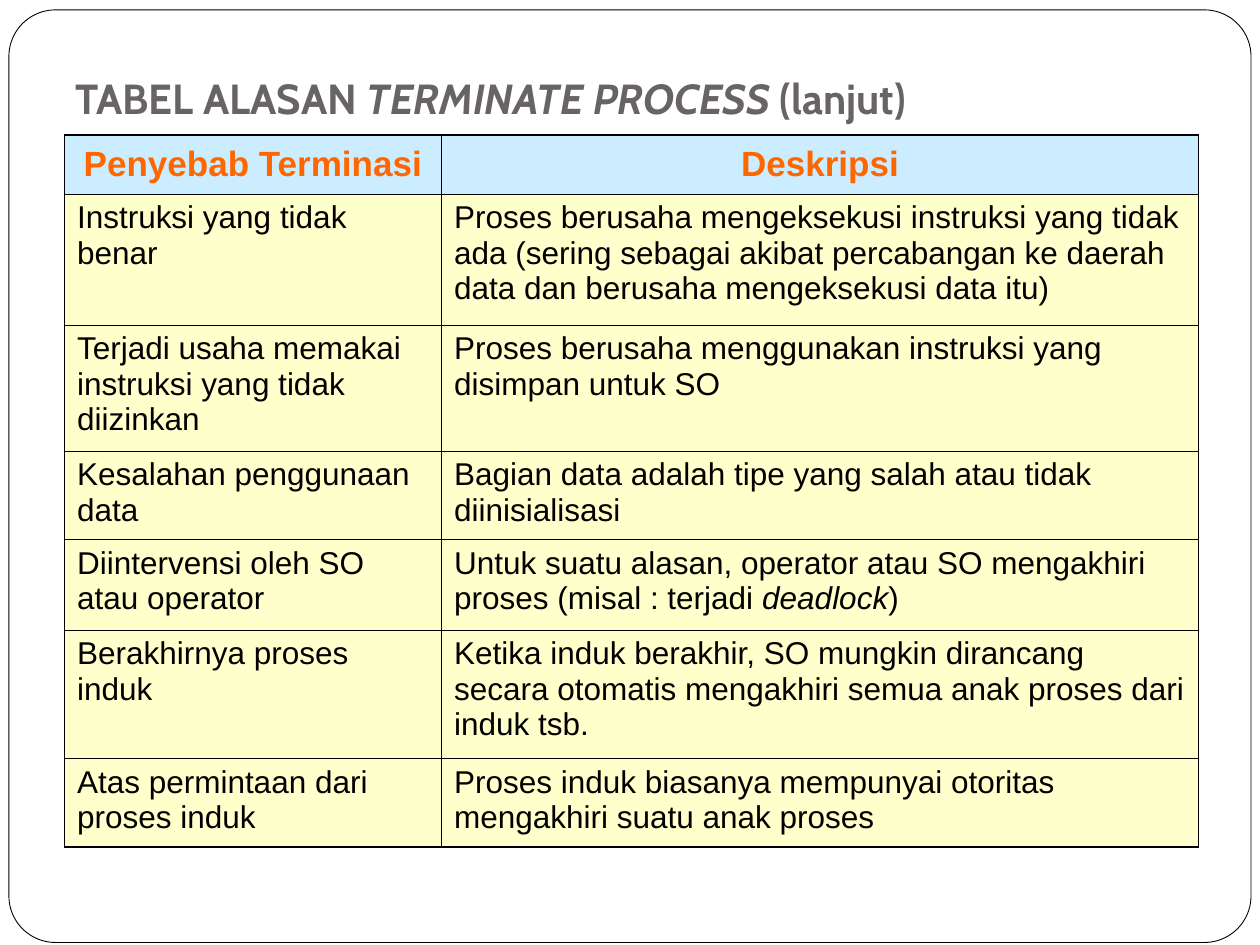
from lxml import etree
from pptx import Presentation
from pptx import util as u
from pptx.dml.color import RGBColor
from pptx.enum import shapes, text
from pptx.oxml.ns import qn

BLACK = RGBColor(0x00, 0x00, 0x00)
WHITE = RGBColor(0xFF, 0xFF, 0xFF)
GRAY = RGBColor(0x69, 0x64, 0x64)
ORANGE = RGBColor(0xFF, 0x66, 0x00)
SKY = RGBColor(0xCC, 0xEC, 0xFF)
CREAM = RGBColor(0xFF, 0xFF, 0xCC)

TITLE = "TABEL ALASAN *TERMINATE PROCESS* (lanjut)"
COLUMNS = (7.6, 15.26)
HEIGHTS = (1.19, 2.64, 2.54, 1.78, 1.83, 2.59, 1.78)
ROWS = (
    ("Penyebab Terminasi", "Deskripsi"),
    ("Instruksi yang tidak benar",
     "Proses berusaha mengeksekusi instruksi yang tidak ada (sering sebagai "
     "akibat percabangan ke daerah data dan berusaha mengeksekusi data itu)"),
    ("Terjadi usaha memakai instruksi yang tidak diizinkan",
     "Proses berusaha menggunakan instruksi yang disimpan untuk SO"),
    ("Kesalahan penggunaan data",
     "Bagian data adalah tipe yang salah atau tidak diinisialisasi"),
    ("Diintervensi oleh SO atau operator",
     "Untuk suatu alasan, operator atau SO mengakhiri proses "
     "(misal : terjadi *deadlock*)"),
    ("Berakhirnya proses induk",
     "Ketika induk berakhir, SO mungkin dirancang secara otomatis mengakhiri "
     "semua anak proses dari induk tsb."),
    ("Atas permintaan dari proses induk",
     "Proses induk biasanya mempunyai otoritas mengakhiri suatu anak proses"),
)


class Deck:
    styles = {
        "title": {"name": "Cabin", "size": u.Pt(24), "bold": True, "color": GRAY},
        "head": {"name": "Arial", "size": u.Pt(20), "bold": True, "color": ORANGE},
        "body": {"name": "Arial", "size": u.Pt(18), "bold": False, "color": BLACK},
    }
    thick, thin = u.Pt(1.08), u.Pt(0.45)

    def __init__(self, prs):
        self.s = prs.slides.add_slide(prs.slide_layouts[6])

    def add_text(self, tf, content, style):
        p = tf.paragraphs[0]
        for i, part in enumerate(content.split("*")):
            r = p.add_run()
            r.text = part
            r.font.italic = i % 2 == 1
            for key, value in self.styles[style].items():
                if key == "color":
                    r.font.color.rgb = value
                else:
                    setattr(r.font, key, value)
        return p

    def frame(self, *box):
        sp = self.s.shapes.add_shape(
            shapes.MSO_SHAPE.ROUNDED_RECTANGLE, *map(u.Cm, box))
        sp.adjustments[0] = 0.05
        sp.shadow.inherit = False
        sp.fill.solid()
        sp.fill.fore_color.rgb = WHITE
        sp.line.color.rgb = BLACK
        sp.line.width = u.Pt(0.5)

    def title(self, content, *box):
        tf = self.s.shapes.add_textbox(*map(u.Cm, box)).text_frame
        layout = {"word_wrap": True, "vertical_anchor": text.MSO_ANCHOR.BOTTOM,
                  "margin_bottom": u.Cm(0.25)}
        for key, value in layout.items():
            setattr(tf, key, value)
        self.add_text(tf, content, "title")

    def borders(self, cell, outer):
        tcPr = cell._tc.get_or_add_tcPr()
        for side in "LRTB":
            width = self.thick if outer[side] else self.thin
            ln = etree.SubElement(tcPr, qn(f"a:ln{side}"), w=str(width))
            fill = etree.SubElement(ln, qn("a:solidFill"))
            etree.SubElement(fill, qn("a:srgbClr"), val=str(BLACK))

    def table(self, rows, left, top, widths, heights):
        box = map(u.Cm, (left, top, sum(widths), sum(heights)))
        tbl = self.s.shapes.add_table(len(rows), len(widths), *box).table
        for column, width in zip(tbl.columns, widths):
            column.width = u.Cm(width)
        for row, height in zip(tbl.rows, heights):
            row.height = u.Cm(height)
        for i, row in enumerate(rows):
            for j, content in enumerate(row):
                cell = tbl.cell(i, j)
                self.borders(cell, {"L": j == 0, "R": j == len(row) - 1,
                                    "T": i == 0, "B": i == len(rows) - 1})
                cell.fill.solid()
                cell.fill.fore_color.rgb = CREAM if i else SKY
                p = self.add_text(cell.text_frame, content, "body" if i else "head")
                if i == 0:
                    p.alignment = text.PP_ALIGN.CENTER
                    cell.vertical_anchor = text.MSO_ANCHOR.MIDDLE


def main():
    prs = Presentation()
    prs.slide_width, prs.slide_height = u.Cm(25.4), u.Cm(19.05)
    deck = Deck(prs)
    deck.frame(0.18, 0.2, 25.04, 18.8)
    deck.title(TITLE, 1.27, 0.76, 22.86, 1.96)
    deck.table(ROWS, 1.3, 2.72, COLUMNS, HEIGHTS)
    prs.save("out.pptx")


if __name__ == "__main__":
    main()
